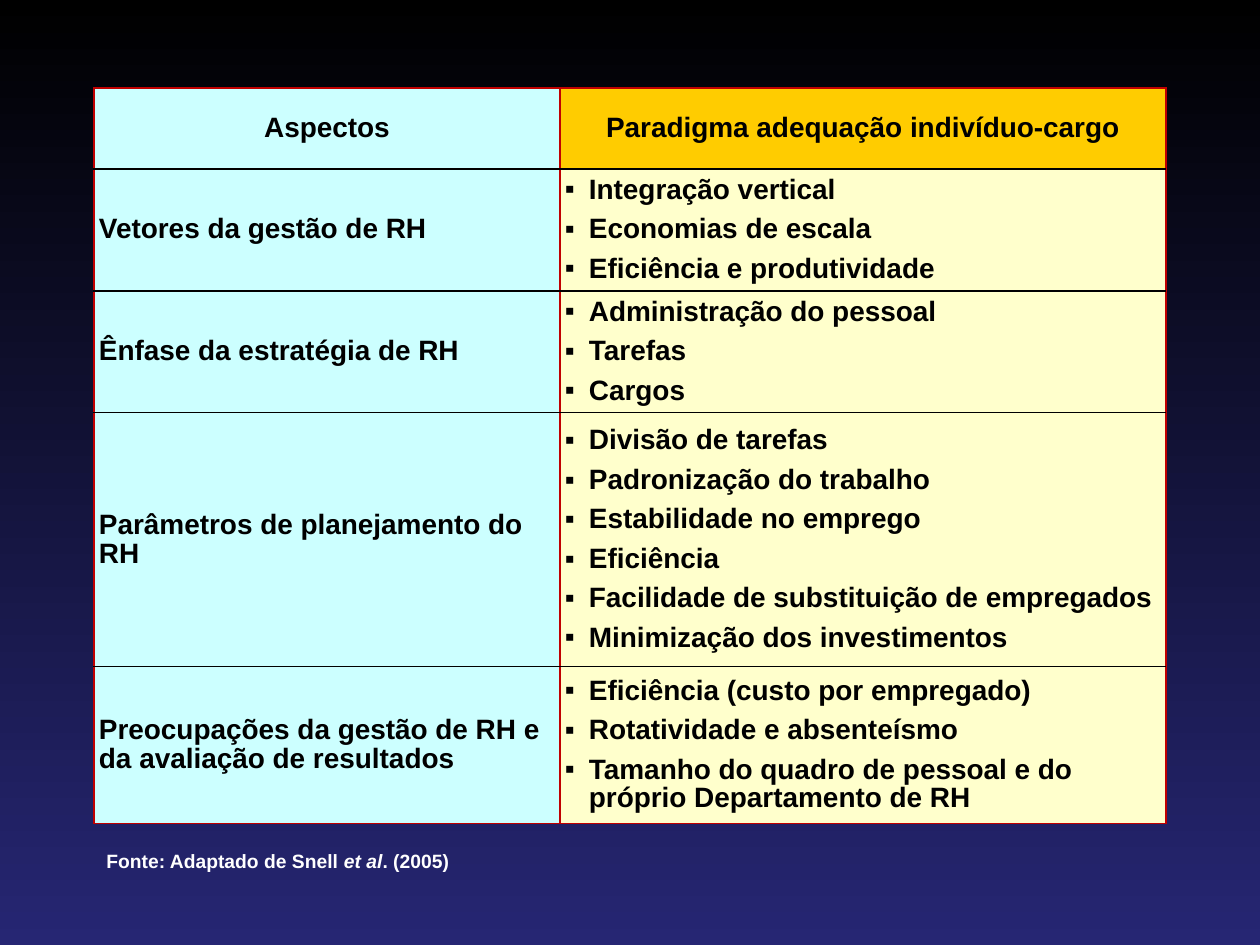
from dataclasses import dataclass

from lxml.etree import SubElement
from pptx import Presentation
from pptx.dml.color import RGBColor
from pptx.enum.text import MSO_ANCHOR as Anchor, MSO_AUTO_SIZE as AutoSize, PP_ALIGN as Align
from pptx.oxml import parse_xml
from pptx.oxml.ns import nsdecls, qn
from pptx.util import Emu, Pt

EMU_PER_PX = 914400 / 126


def px(length):
    return Emu(round(length * EMU_PER_PX))


@dataclass(frozen=True)
class Theme:
    font: str = "Arial"
    table_size: int = 16
    source_size: int = 11
    ink: str = "000000"
    light: str = "FFFFFF"
    border: str = "C00000"
    rule: str = "000000"
    aspect: str = "CCFFFF"
    header: str = "FFCC00"
    detail: str = "FFFFCC"
    sky: tuple = ("000000", "262673")


HEADERS = ("Aspectos", "Paradigma adequação indivíduo-cargo")
ASPECTS = (
    ("Vetores da gestão de RH",
     ("Integração vertical", "Economias de escala", "Eficiência e produtividade")),
    ("Ênfase da estratégia de RH",
     ("Administração do pessoal", "Tarefas", "Cargos")),
    ("Parâmetros de planejamento do RH",
     ("Divisão de tarefas", "Padronização do trabalho", "Estabilidade no emprego",
      "Eficiência", "Facilidade de substituição de empregados",
      "Minimização dos investimentos")),
    ("Preocupações da gestão de RH e da avaliação de resultados",
     ("Eficiência (custo por empregado)", "Rotatividade e absenteísmo",
      "Tamanho do quadro de pessoal e do próprio Departamento de RH")),
)
COLUMN_WIDTHS = (466, 606)
ROW_HEIGHTS = (81, 122, 122, 254, 157)


class SlideBuilder:
    def __init__(self, page, theme):
        self.page = page
        self.theme = theme

    def background(self):
        fill = self.page.background.fill
        fill.gradient()
        fill.gradient_angle = 270
        for stop, position, color in zip(fill.gradient_stops, (0, 1), self.theme.sky):
            stop.position = position
            stop.color.rgb = RGBColor.from_string(color)

    def style_font(self, font, size, color):
        font.name = self.theme.font
        font.size = Pt(size)
        font.bold = True
        font.color.rgb = RGBColor.from_string(color)

    def bullet(self, para):
        properties = para._p.get_or_add_pPr()
        indent = px(24)
        properties.set("marL", str(indent))
        properties.set("indent", str(-indent))
        color = SubElement(properties, qn("a:buClr"))
        SubElement(color, qn("a:srgbClr"), val=self.theme.ink)
        SubElement(properties, qn("a:buFont"), typeface=self.theme.font)
        SubElement(properties, qn("a:buChar"), char="▪")

    def borders(self, cell, top, bottom):
        """Red sides, with the given colours above and below."""
        sides = {"L": self.theme.border, "R": self.theme.border, "T": top, "B": bottom}
        properties = cell._tc.get_or_add_tcPr()
        for index, (side, color) in enumerate(sides.items()):
            line = parse_xml(
                f'<a:ln{side} {nsdecls("a")} w="{Pt(0.75)}"><a:solidFill>'
                f'<a:srgbClr val="{color}"/></a:solidFill></a:ln{side}>')
            properties.insert(index, line)

    def cell(self, cell, lines, fill, align=Align.LEFT, bulleted=False):
        cell.fill.solid()
        cell.fill.fore_color.rgb = RGBColor.from_string(fill)
        cell.vertical_anchor = Anchor.MIDDLE
        cell.margin_left = cell.margin_right = px(5)
        cell.margin_top = cell.margin_bottom = 0
        cell.text = "\n".join(lines)
        for para in cell.text_frame.paragraphs:
            para.alignment = align
            para.line_spacing = 0.93
            para.space_before = para.space_after = Pt(3 if bulleted else 2)
            self.style_font(para.font, self.theme.table_size, self.theme.ink)
            if bulleted:
                self.bullet(para)

    def table(self, left, top):
        theme = self.theme
        table = self.page.shapes.add_table(
            len(ROW_HEIGHTS), len(COLUMN_WIDTHS), px(left), px(top),
            px(sum(COLUMN_WIDTHS)), px(sum(ROW_HEIGHTS))).table
        for column, width in zip(table.columns, COLUMN_WIDTHS):
            column.width = px(width)
        for row, height in zip(table.rows, ROW_HEIGHTS):
            row.height = px(height)

        for column, (text, fill) in enumerate(zip(HEADERS, (theme.aspect, theme.header))):
            self.cell(table.cell(0, column), [text], fill, Align.CENTER)
        for row, (aspect, details) in enumerate(ASPECTS, 1):
            self.cell(table.cell(row, 0), [aspect], theme.aspect)
            self.cell(table.cell(row, 1), details, theme.detail, bulleted=True)

        last = len(ROW_HEIGHTS) - 1
        for index, row in enumerate(table.rows):
            for cell in row.cells:
                self.borders(cell, theme.border if index == 0 else theme.rule,
                             theme.border if index == last else theme.rule)

    def source(self, left, top, width, height, spans):
        box = self.page.shapes.add_textbox(px(left), px(top), px(width), px(height))
        frame = box.text_frame
        frame.word_wrap = False
        frame.auto_size = AutoSize.SHAPE_TO_FIT_TEXT
        para = frame.paragraphs[0]
        self.style_font(para.font, self.theme.source_size, self.theme.light)
        for text, italic in spans:
            span = para.add_run()
            span.text = text
            span.font.italic = italic


def main():
    deck = Presentation()
    deck.slide_width, deck.slide_height = px(1260), px(945)
    page = deck.slides.add_slide(deck.slide_layouts[6])
    builder = SlideBuilder(page, Theme())
    builder.background()
    builder.table(94, 88)
    builder.source(94, 843, 377, 37, (
        ("Fonte: Adaptado de Snell ", False), ("et al", True), (". (2005)", False)))
    deck.save("out.pptx")


if __name__ == "__main__":
    main()
